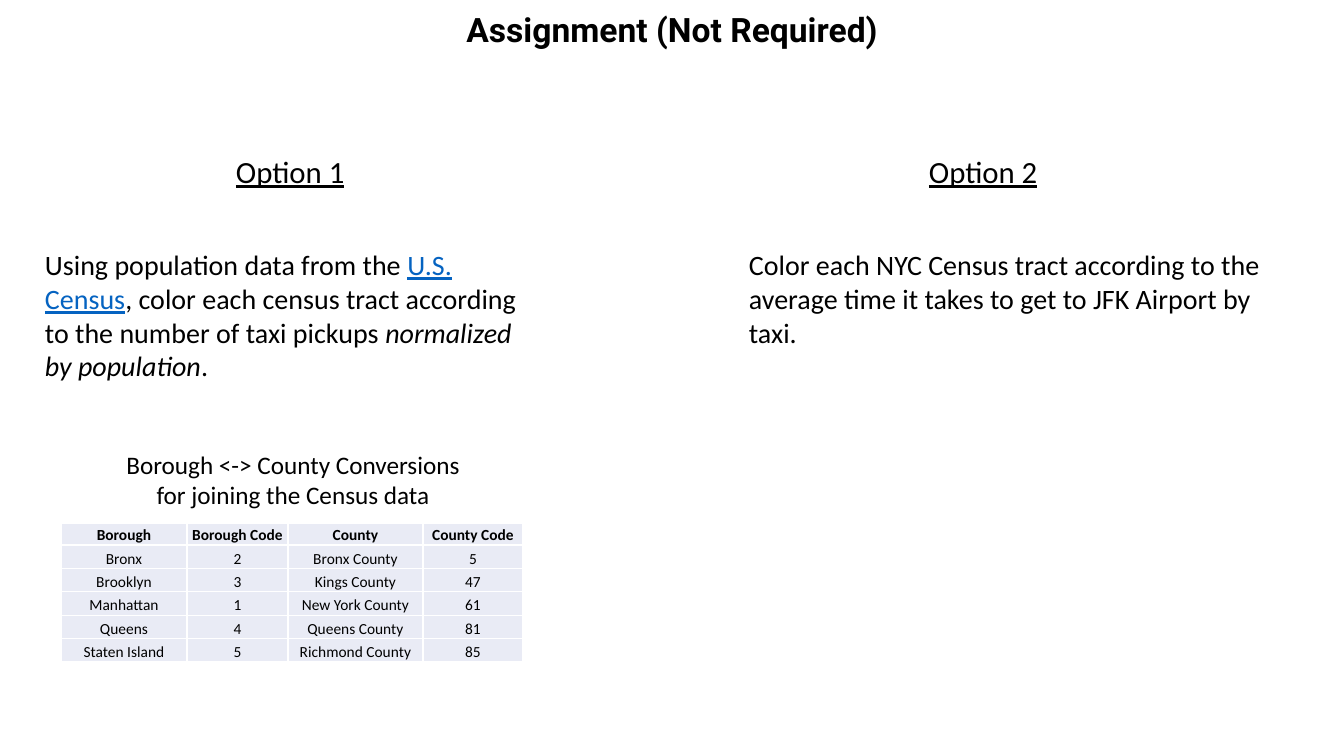
from pptx import Presentation
from pptx.dml.color import RGBColor
from pptx.enum.text import MSO_ANCHOR as Anchor, MSO_AUTO_SIZE as AutoSize, PP_ALIGN as Align
from pptx.oxml.ns import qn
from pptx.util import Pt
from lxml.etree import SubElement

SCALE = 914400 / 100.8  # EMU in one px
WIDTH, HEIGHT = 1344, 756

BOROUGHS = [
    ("Borough", "Borough Code", "County", "County Code"),
    ("Bronx", "2", "Bronx County", "5"),
    ("Brooklyn", "3", "Kings County", "47"),
    ("Manhattan", "1", "New York County", "61"),
    ("Queens", "4", "Queens County", "81"),
    ("Staten Island", "5", "Richmond County", "85"),
]
COLUMN_WIDTHS = (126, 101, 135, 100)
HEADER_HEIGHT = 22


def px(length):
    return round(length * SCALE)


def color(value):
    return RGBColor.from_string(value)


def write(para, spans, size, font="Calibri", align=Align.LEFT):
    """Fill a paragraph with (text, format values) spans."""
    para.alignment = align
    for text, extras in spans:
        span = para.add_run()
        span.text = text
        values = {"name": font, "size": Pt(size), **extras}
        span.font.color.rgb = color(values.pop("color", "000000"))
        for name, value in values.items():
            setattr(span.font, name, value)


def add_text(page, box, spans, size, wrap=True, **options):
    shape = page.shapes.add_textbox(*map(px, box))
    frame = shape.text_frame
    frame.word_wrap = wrap
    frame.auto_size = AutoSize.SHAPE_TO_FIT_TEXT
    write(frame.paragraphs[0], spans, size, **options)
    return frame


def add_title(page, box):
    frame = add_text(page, box, [("Assignment (Not Required)", {"bold": True})], 24,
                     font="Roboto", align=Align.CENTER)
    frame.auto_size = AutoSize.NONE
    frame.vertical_anchor = Anchor.MIDDLE
    frame.paragraphs[0].line_spacing = 0.9


def add_option(page, box, indent, heading, spans):
    """A heading, indented in the box, above its description."""
    left, top, width, height = box
    add_text(page, (left + indent, top, 136, 47),
             [(heading, {"size": Pt(22), "underline": True}), (" ", {})], 18,
             wrap=False, align=Align.CENTER)
    add_text(page, (left, top + 95, width, height - 95), spans, 20)


def add_borders(cell, value, width):
    properties = cell._tc.get_or_add_tcPr()
    for side in ("lnL", "lnR", "lnT", "lnB"):
        line = SubElement(properties, qn(f"a:{side}"), w=str(Pt(width)))
        SubElement(SubElement(line, qn("a:solidFill")), qn("a:srgbClr"), val=value)


def add_conversions(page, box):
    """The caption with the borough table below it."""
    left, top, width, height = box
    add_text(page, (left + 53, top, 358, 102),
             [("Borough <-> County Conversions for joining the Census data", {})], 18,
             align=Align.CENTER)

    table_box = (left, top + 79, width, height - 79)
    table = page.shapes.add_table(len(BOROUGHS), len(COLUMN_WIDTHS),
                                  *map(px, table_box)).table
    table.first_row = table.horz_banding = False
    for column, column_width in zip(table.columns, COLUMN_WIDTHS):
        column.width = px(column_width)
    row_height = (height - 79 - HEADER_HEIGHT) / (len(BOROUGHS) - 1)
    layout = {"margin_left": px(1), "margin_right": px(1), "margin_top": px(1),
              "margin_bottom": 0, "vertical_anchor": Anchor.BOTTOM}
    for index, values in enumerate(BOROUGHS):
        table.rows[index].height = px(row_height if index else HEADER_HEIGHT)
        for cell, text in zip(table.rows[index].cells, values):
            for name, value in layout.items():
                setattr(cell, name, value)
            add_borders(cell, "FFFFFF", 1)
            cell.fill.solid()
            cell.fill.fore_color.rgb = color("E9EBF5")
            write(cell.text_frame.paragraphs[0], [(text, {"bold": index == 0})], 11,
                  align=Align.CENTER)


def main():
    deck = Presentation()
    deck.slide_width, deck.slide_height = px(WIDTH), px(HEIGHT)
    page = deck.slides.add_slide(deck.slide_layouts[6])

    add_title(page, (0, 0, WIDTH, 64))
    add_option(page, (35, 148, 508, 241), 190, "Option 1", [
        ("Using population data from the ", {}),
        ("U.S. Census", {"color": "0563C1", "underline": True}),
        (", color each census tract according to the number of taxi pickups ", {}),
        ("normalized by population", {"italic": True}),
        (".", {}),
    ])
    add_conversions(page, (61, 444, sum(COLUMN_WIDTHS), 218))
    add_option(page, (739, 148, 536, 207), 179, "Option 2", [
        ("Color each NYC Census tract according to the average time it takes "
         "to get to JFK Airport by taxi.", {}),
    ])
    deck.save("out.pptx")


if __name__ == "__main__":
    main()
